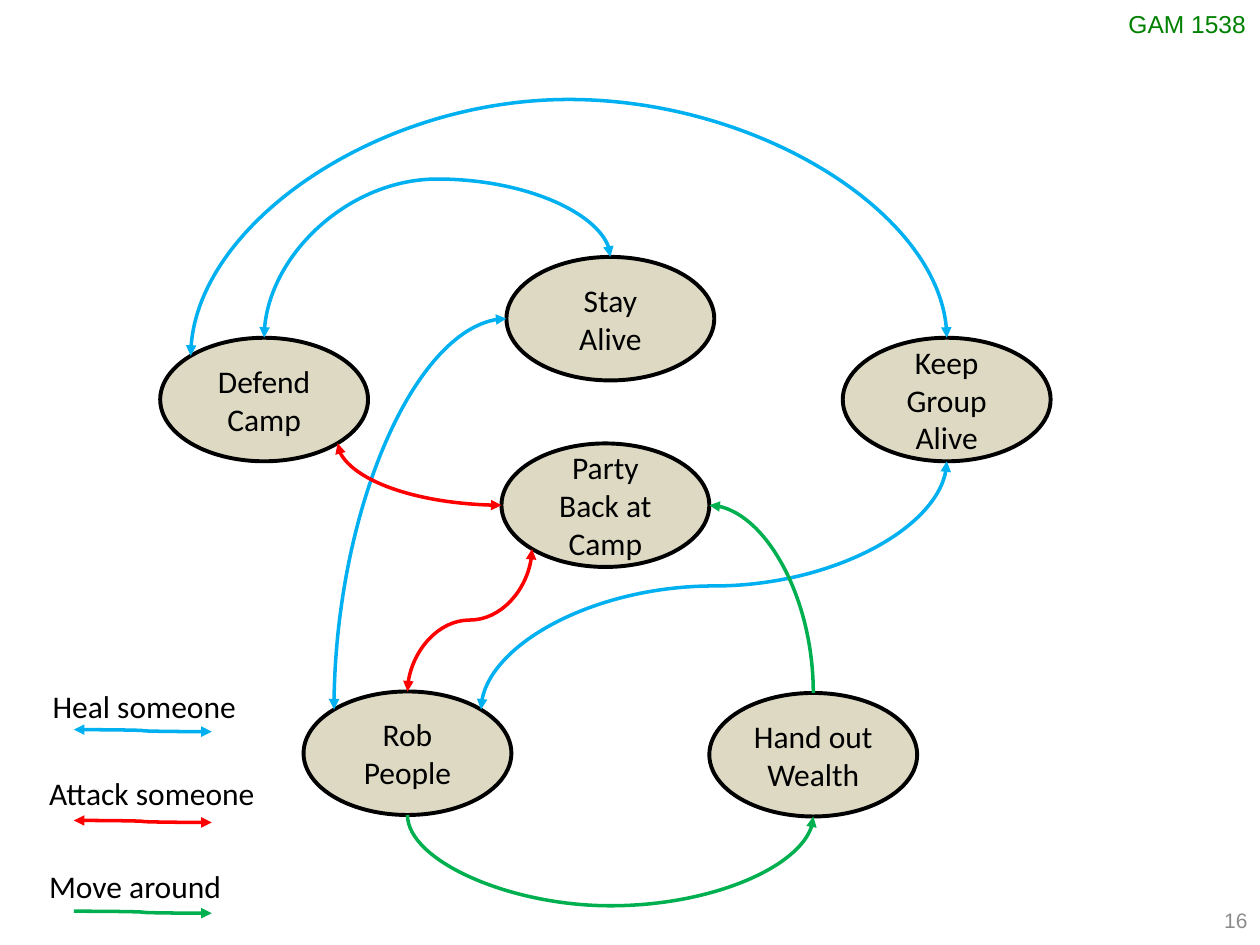
from math import sqrt
from lxml import etree
from pptx import Presentation
from pptx.dml.color import RGBColor
from pptx.enum.shapes import MSO_CONNECTOR, MSO_SHAPE
from pptx.enum.text import MSO_ANCHOR, MSO_AUTO_SIZE, PP_ALIGN
from pptx.oxml.ns import qn
from pptx.util import Cm, Pt

CURVE, OVAL = MSO_CONNECTOR.CURVE, MSO_SHAPE.OVAL
MID, TOP = MSO_ANCHOR.MIDDLE, MSO_ANCHOR.TOP
LEFT, MIDDLE, RIGHT = PP_ALIGN.LEFT, PP_ALIGN.CENTER, PP_ALIGN.RIGHT
FIT, FIXED = MSO_AUTO_SIZE.SHAPE_TO_FIT_TEXT, MSO_AUTO_SIZE.NONE
BLACK = RGBColor(0, 0, 0)
SAND = RGBColor(0xDD, 0xD9, 0xC3)
BLUE = RGBColor(0, 0xB0, 0xF0)
RED = RGBColor(0xFF, 0, 0)
GREEN = RGBColor(0, 0xB0, 0x50)
DARK = RGBColor(0, 0x80, 0)
GRAY = RGBColor(0x8C, 0x8C, 0x8C)

WIDE, HIGH = 4.19, 2.49
GOALS = {
    "Stay Alive": (10.21, 5.18),
    "Keep Group Alive": (16.99, 6.81),
    "Defend Camp": (3.23, 6.81),
    "Rob People": (6.12, 13.94),
    "Hand out Wealth": (14.3, 13.97),
    "Party Back at Camp": (10.11, 8.94),
}
DIAG = sqrt(0.5)
SITES = {
    "top": (0, -1), "bottom": (0, 1), "left": (-1, 0), "right": (1, 0),
    "top left": (-DIAG, -DIAG), "top right": (DIAG, -DIAG),
    "low left": (-DIAG, DIAG), "low right": (DIAG, DIAG),
}
LINKS = [
    ("Party Back at Camp", "low left", "Rob People", "top", RED, True, True, 12.5),
    ("Rob People", "top right", "Keep Group Alive", "bottom", BLUE, True, True, 11.81),
    ("Rob People", "top left", "Stay Alive", "left", BLUE, True, True, None),
    ("Rob People", "bottom", "Hand out Wealth", "bottom", GREEN, False, True, 18.26),
    ("Hand out Wealth", "top", "Party Back at Camp", "right", GREEN, False, True, None),
    ("Party Back at Camp", "left", "Defend Camp", "low right", RED, True, False, None),
    ("Defend Camp", "top", "Stay Alive", "top", BLUE, True, True, 3.61),
    ("Defend Camp", "top left", "Keep Group Alive", "top", BLUE, True, True, 2.01),
]
KEYS = [
    ("Heal someone", 0.81, 13.72, 4.24, BLUE, True),
    ("Attack someone", 0.74, 15.47, 4.7, RED, True),
    ("Move around", 0.74, 17.35, 4.01, GREEN, False),
]
KEY_X, KEY_END, KEY_Y, KEY_GAP = 1.49, 4.27, 14.71, 1.83

deck = Presentation()
deck.slide_width, deck.slide_height = Cm(25.4), Cm(19.05)
slide = deck.slides.add_slide(deck.slide_layouts[6])
shapes = slide.shapes


def put(item, formats):
    for name, value in formats.items():
        setattr(item, name, value)


def write(shape, text, size=18, face="Calibri", color=BLACK, align=LEFT,
          anchor=TOP, wrap=False, fit=FIT):
    frame = shape.text_frame
    put(frame, {"word_wrap": wrap, "auto_size": fit, "vertical_anchor": anchor})
    para = frame.paragraphs[0]
    para.alignment = align
    run = para.add_run()
    run.text = text
    put(run.font, {"size": Pt(size), "name": face})
    run.font.color.rgb = color


def label(box, text, **style):
    write(shapes.add_textbox(*map(Cm, box)), text, **style)


def oval(text, x, y):
    shape = shapes.add_shape(OVAL, Cm(x), Cm(y), Cm(WIDE), Cm(HIGH))
    shape.shadow.inherit = False
    shape.fill.solid()
    shape.fill.fore_color.rgb = SAND
    shape.line.color.rgb = BLACK
    shape.line.width = Pt(2.25)
    write(shape, text, align=MIDDLE, anchor=MID, wrap=True, fit=FIXED)


def site(goal, side):
    x, y = GOALS[goal]
    across, down = SITES[side]
    return x + WIDE / 2 * (1 + across), y + HIGH / 2 * (1 + down)


def curve(start, end, color, both, upright, bend=None):
    (x1, y1), (x2, y2) = start, end
    dx, dy = x2 - x1, y2 - y1
    wide, high = abs(dx), abs(dy)
    flip_h, flip_v, turn = dx < 0, dy < 0, 0
    if upright:
        wide, high = high, wide
        flip_h, flip_v, turn = dy < 0, dx > 0, 90
    if (flip_h != flip_v) if upright else (flip_h and flip_v):
        flip_h, flip_v, turn = not flip_h, not flip_v, turn + 180
    left, top = (x1 + x2 - wide) / 2, (y1 + y2 - high) / 2
    link = shapes.add_connector(
        CURVE, Cm(left), Cm(top), Cm(left + wide), Cm(top + high))
    link.line.color.rgb = color
    link.line.width = Pt(2)
    props = link._element.spPr
    frame = props.find(qn("a:xfrm"))
    for name, value in {"rot": turn * 60000, "flipH": int(flip_h),
                        "flipV": int(flip_v)}.items():
        frame.set(name, str(value))
    form = props.find(qn("a:prstGeom"))
    form.set("prst", "curvedConnector2" if bend is None else "curvedConnector3")
    if bend is not None:
        part = (bend - y1) / dy if upright else (bend - x1) / dx
        guides = form.find(qn("a:avLst"))
        if guides is None:
            guides = etree.SubElement(form, qn("a:avLst"))
        etree.SubElement(guides, qn("a:gd"), name="adj1",
                         fmla=f"val {round(part * 100000)}")
    line = props.find(qn("a:ln"))
    for tip in ("headEnd", "tailEnd") if both else ("tailEnd",):
        etree.SubElement(line, qn("a:" + tip), type="triangle")
    etree.SubElement(props, qn("a:effectLst"))


label((22.5, 0.05, 2.9, 0.86), "GAM 1538", size=14, face="Arial", color=DARK)
label((19.48, 18.03, 5.92, 1.02), "16", size=12, face="Arial", color=GRAY,
      align=RIGHT, anchor=MID, wrap=True, fit=FIXED)
for text, spot in GOALS.items():
    oval(text, *spot)
for goal, side, other, edge, color, both, upright, bend in LINKS:
    curve(site(goal, side), site(other, edge), color, both, upright, bend)
for row, (text, x, y, wide, color, both) in enumerate(KEYS):
    level = KEY_Y + row * KEY_GAP
    curve((KEY_X, level), (KEY_END, level + 0.04), color, both, False,
          (KEY_X + KEY_END) / 2)
    label((x, y, wide, 1.02), text)

deck.save("out.pptx")
